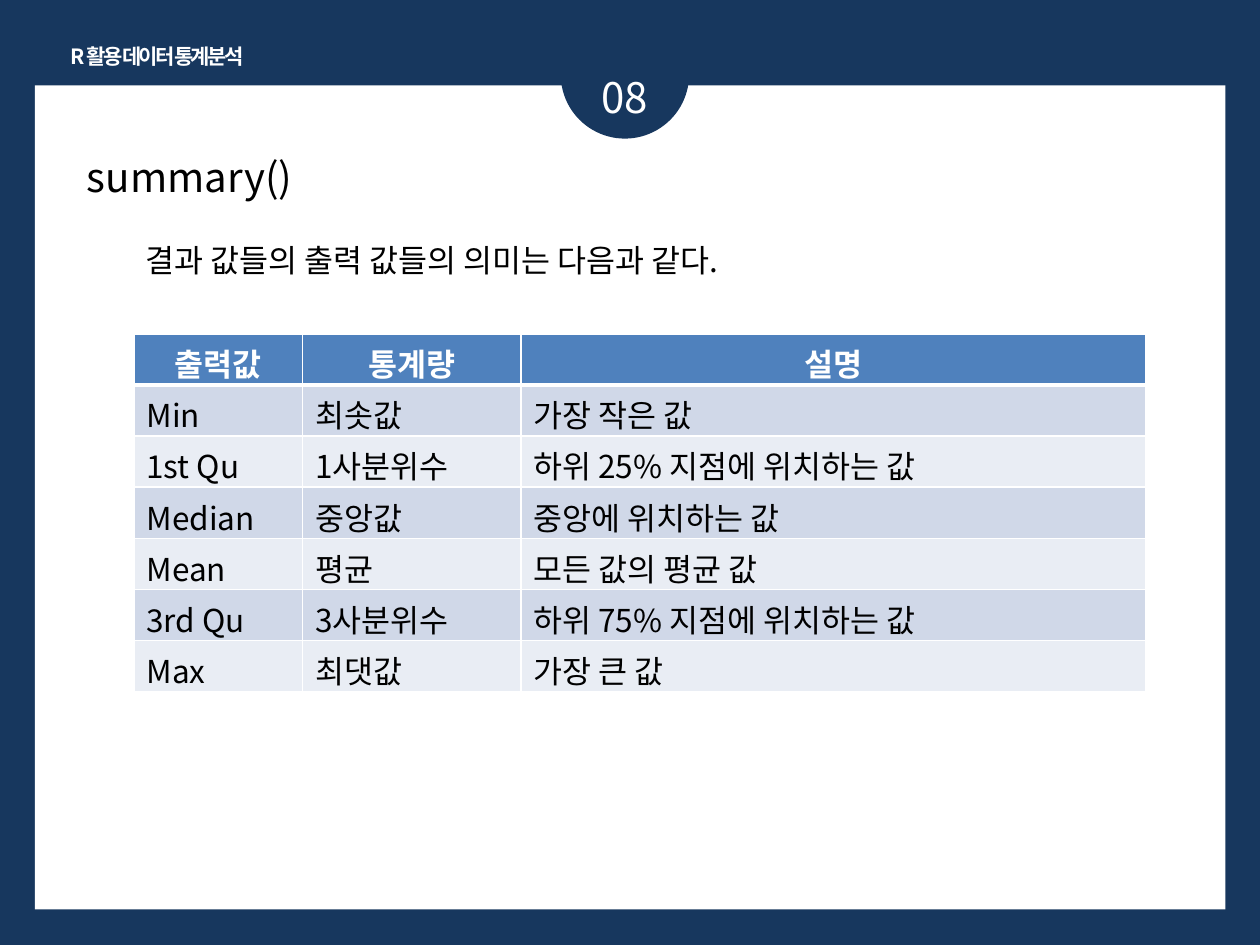
from lxml import etree
from pptx import Presentation
from pptx import util as u
from pptx.dml.color import RGBColor
from pptx.enum import shapes, text
from pptx.oxml.ns import qn

COLORS = {
    "navy": "17375E", "white": "FFFFFF", "black": "000000",
    "header": "4F81BD", "odd": "D0D8E8", "even": "E9EDF4",
}
FONT = "Noto Sans CJK KR"
CENTER, LEFT = text.PP_ALIGN.CENTER, text.PP_ALIGN.LEFT


def rgb(name):
    return RGBColor.from_string(COLORS[name])


class Deck:
    def __init__(self, width, height):
        self.prs = Presentation()
        self.prs.slide_width, self.prs.slide_height = u.Pt(width), u.Pt(height)
        self.s = self.prs.slides.add_slide(self.prs.slide_layouts[5])

    def background(self, color):
        fill = self.s.background.fill
        fill.solid()
        fill.fore_color.rgb = rgb(color)

    def shape(self, kind, box, color):
        sp = self.s.shapes.add_shape(kind, *map(u.Pt, box))
        sp.shadow.inherit = False
        sp.fill.solid()
        sp.fill.fore_color.rgb = rgb(color)
        sp.line.fill.background()

    def add_words(self, tf, words, size, color, align=LEFT, bold=False, spacing=None):
        p = tf.paragraphs[0]
        p.alignment = align
        r = p.add_run()
        r.text = words
        for key, value in {"name": FONT, "size": u.Pt(size), "bold": bold}.items():
            setattr(r.font, key, value)
        r.font.color.rgb = rgb(color)
        rPr = r._r.get_or_add_rPr()
        etree.SubElement(rPr, qn("a:ea"), typeface=FONT)
        if spacing is not None:
            rPr.set("spc", str(int(spacing * 100)))

    def fit(self, sp, wrap=True):
        frame = {
            "word_wrap": wrap,
            "auto_size": text.MSO_AUTO_SIZE.SHAPE_TO_FIT_TEXT,
            "vertical_anchor": text.MSO_ANCHOR.TOP,
        }
        for key, value in frame.items():
            setattr(sp.text_frame, key, value)
        return sp.text_frame

    def textbox(self, box, words, size, color, wrap=True, **style):
        sp = self.s.shapes.add_textbox(*map(u.Pt, box))
        self.add_words(self.fit(sp, wrap), words, size, color, **style)

    def title(self, box, words, size, color):
        sp = self.s.shapes.title
        for key, value in zip(("left", "top", "width", "height"), box):
            setattr(sp, key, u.Pt(value))
        self.add_words(self.fit(sp), words, size, color)
        # Bring the title in front of the panel
        sp.element.getparent().append(sp.element)

    def border(self, cell, widths):
        tcPr = cell._tc.get_or_add_tcPr()
        for side, width in widths.items():
            ln = etree.SubElement(tcPr, qn(f"a:ln{side}"), w=str(int(u.Pt(width))))
            fill = etree.SubElement(ln, qn("a:solidFill"))
            etree.SubElement(fill, qn("a:srgbClr"), val=COLORS["white"])

    def table(self, left, top, widths, row_height, rows, size):
        frame = self.s.shapes.add_table(
            len(rows), len(widths), u.Pt(left), u.Pt(top),
            u.Pt(sum(widths)), u.Pt(row_height * len(rows)))
        table = frame.table
        for col, width in zip(table.columns, widths):
            col.width = u.Pt(width)
        for i, row in enumerate(rows):
            table.rows[i].height = u.Pt(row_height)
            head = i == 0
            fill = "header" if head else ("odd" if i % 2 else "even")
            for j, words in enumerate(row):
                cell = table.cell(i, j)
                self.border(cell, {"L": 1, "R": 1, "T": 3 if i == 1 else 1,
                                   "B": 3 if head else 1})
                cell.fill.solid()
                cell.fill.fore_color.rgb = rgb(fill)
                self.add_words(cell.text_frame, words, size,
                               "white" if head else "black",
                               align=CENTER if head else LEFT, bold=head)


def main():
    deck = Deck(720, 540)

    # Frame: navy background, white panel, round page tab
    deck.background("navy")
    deck.shape(shapes.MSO_SHAPE.RECTANGLE, (20, 48.8, 680.2, 470.8), "white")
    deck.shape(shapes.MSO_SHAPE.OVAL, (320.4, 5.8, 73.4, 73.4), "navy")

    # Course name and page number
    deck.textbox((27.4, 21.6, 124.6, 21.8), "R 활용 데이터 통계분석", 12, "white",
                 wrap=False, align=CENTER, bold=True, spacing=-1.5)
    deck.textbox((314.6, 37.4, 85, 36.4), "08", 24, "white", align=CENTER)

    # Heading and lead sentence
    deck.title((42.5, 83.5, 629.3, 35.3), "summary()", 23, "black")
    deck.textbox((76.3, 133.9, 566.6, 29.1),
                 "결과 값들의 출력 값들의 의미는 다음과 같다.", 18, "black")

    # Meaning of each output value
    rows = [
        ("출력값", "통계량", "설명"),
        ("Min", "최솟값", "가장 작은 값"),
        ("1st Qu", "1사분위수", "하위 25% 지점에 위치하는 값"),
        ("Median", "중앙값", "중앙에 위치하는 값"),
        ("Mean", "평균", "모든 값의 평균 값"),
        ("3rd Qu", "3사분위수", "하위 75% 지점에 위치하는 값"),
        ("Max", "최댓값", "가장 큰 값"),
    ]
    deck.table(76.5, 190.8, (96.4, 124.7, 357.1), 29.2, rows, 18)

    deck.prs.save("out.pptx")


if __name__ == "__main__":
    main()
